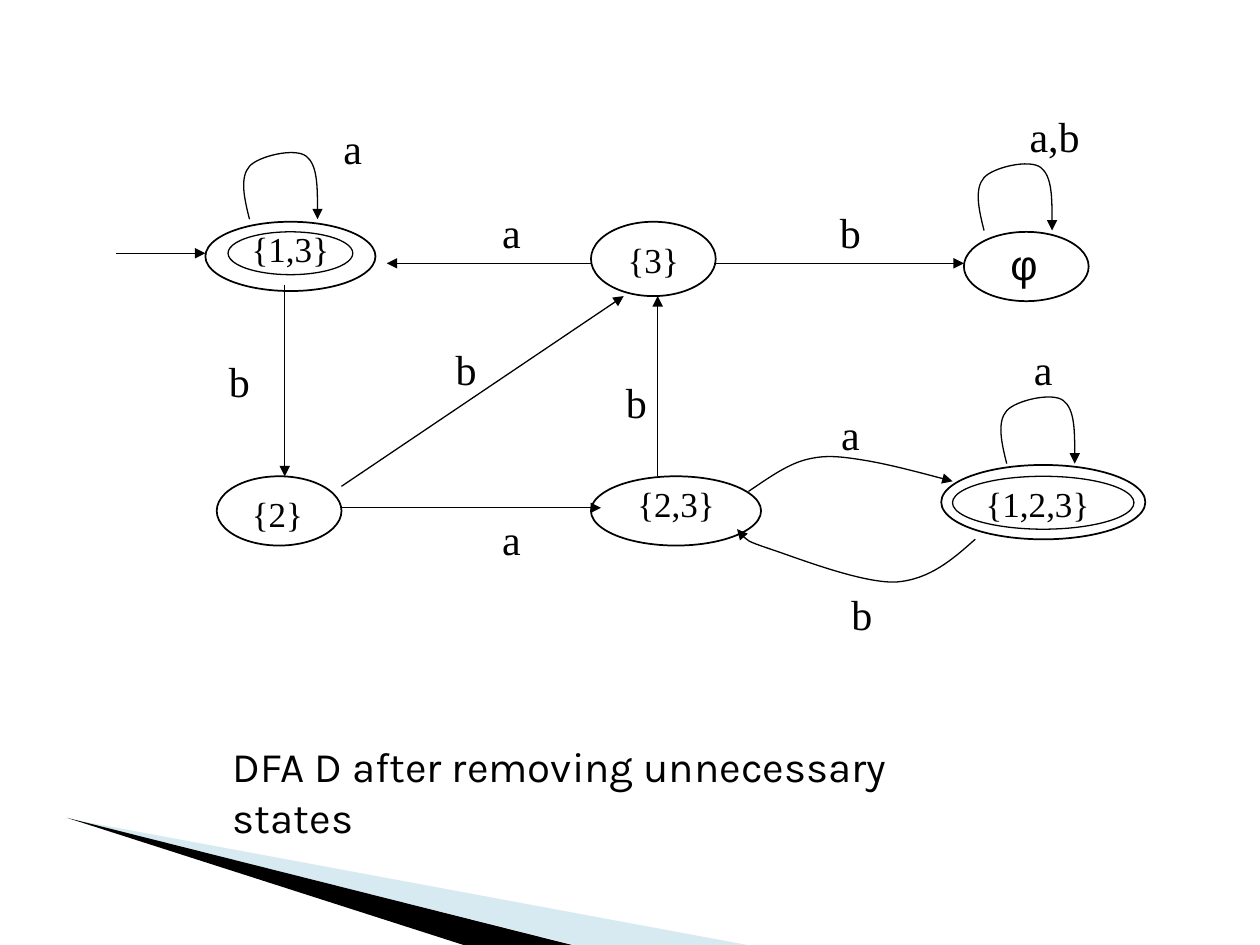
from pptx import Presentation
from pptx.dml.color import RGBColor
from pptx.enum.shapes import MSO_CONNECTOR, MSO_SHAPE
from pptx.enum.text import PP_ALIGN
from pptx.oxml.ns import qn
from pptx.util import Inches, Pt
from lxml.etree import SubElement

THEME = {
    "ink": RGBColor(0x00, 0x00, 0x00),
    "wedge": RGBColor(0x9F, 0xCB, 0xDC),
    "state_size": Pt(20),
    "label_size": Pt(24),
    "border": Pt(1),
    "thin": Pt(0.75),
    "serif": "Times New Roman",
}

prs = Presentation()
prs.slide_width, prs.slide_height = Inches(10), Inches(7.5)
s = prs.slides.add_slide(prs.slide_layouts[6])


def add_text(text, left, top, width, height, size=THEME["label_size"],
             font=THEME["serif"], align=PP_ALIGN.CENTER):
    box = s.shapes.add_textbox(Inches(left), Inches(top), Inches(width), Inches(height))
    tf = box.text_frame
    tf.word_wrap = True
    p = tf.paragraphs[0]
    p.alignment = align
    r = p.add_run()
    r.text = text
    for name, value in {"size": size, "name": font}.items():
        setattr(r.font, name, value)
    r.font.color.rgb = THEME["ink"]


def style_arrow(sp):
    """Give a line or open curve a thin stroke ending in a triangle."""
    sp.line.color.rgb = THEME["ink"]
    sp.line.width = THEME["thin"]
    SubElement(sp.line._get_or_add_ln(), qn("a:tailEnd"), type="triangle")
    SubElement(sp._element.spPr, qn("a:effectLst"))


# Corner wedges
wedges = [
    ([(0.55, 6.5), (5.93, 7.5), (4.56, 7.5)], THEME["wedge"], 40),
    ([(0.53, 6.49), (4.54, 7.5), (3.68, 7.5)], THEME["ink"], 100),
]
for points, color, opacity in wedges:
    corners = [(Inches(x), Inches(y)) for x, y in points]
    fb = s.shapes.build_freeform(*corners[0])
    fb.add_line_segments(corners[1:], close=True)
    sp = fb.convert_to_shape()
    sp.shadow.inherit = False
    sp.fill.solid()
    sp.fill.fore_color.rgb = color
    sp.line.fill.background()
    if opacity < 100:
        clr = sp._element.spPr.find(qn("a:solidFill"))[0]
        SubElement(clr, qn("a:alpha"), val=str(opacity * 1000))

# States, with an inner ring on the accepting ones
ellipses = [
    (1.63, 1.76, 1.35, 0.55, "border"),
    (1.81, 1.84, 0.99, 0.34, "thin"),
    (4.69, 1.76, 0.99, 0.59, "border"),
    (7.65, 1.84, 0.99, 0.55, "border"),
    (1.72, 3.78, 0.99, 0.55, "border"),
    (4.69, 3.78, 1.35, 0.55, "border"),
    (7.47, 3.69, 1.62, 0.59, "border"),
    (7.56, 3.78, 1.44, 0.42, "thin"),
]
for *place, width in ellipses:
    sp = s.shapes.add_shape(MSO_SHAPE.OVAL, *map(Inches, place))
    sp.shadow.inherit = False
    sp.fill.background()
    sp.line.color.rgb = THEME["ink"]
    sp.line.width = THEME[width]

state_names = [
    ("{1,3}", 1.81, 1.76, 0.99, PP_ALIGN.CENTER),
    ("{3}", 4.78, 1.84, 0.81, PP_ALIGN.CENTER),
    ("{2}", 1.9, 3.86, 0.99, PP_ALIGN.LEFT),
    ("{2,3}", 4.87, 3.78, 0.99, PP_ALIGN.CENTER),
    ("{1,2,3}", 7.65, 3.78, 1.17, PP_ALIGN.CENTER),
]
for name, left, top, width, align in state_names:
    add_text(name, left, top, width, 0.44, THEME["state_size"], align=align)
add_text("φ", 7.92, 1.84, 0.54, 0.5, font="Arial", align=PP_ALIGN.LEFT)

# Straight transitions
transitions = [
    (0.92, 2.01, 1.63, 2.01),
    (4.69, 2.09, 3.07, 2.09),
    (5.67, 2.09, 7.65, 2.09),
    (2.26, 2.26, 2.26, 3.78),
    (2.71, 3.86, 4.95, 2.35),
    (2.71, 4.03, 4.77, 4.03),
    (5.22, 3.78, 5.22, 2.35),
]
for ends in transitions:
    style_arrow(s.shapes.add_connector(MSO_CONNECTOR.STRAIGHT, *map(Inches, ends)))

# Curved transitions: a start point, then three points per Bezier piece
LOOP = [(0, 0), (-0.04, -0.16), (-0.08, -0.33), (0, -0.42),
        (0.07, -0.5), (0.36, -0.57), (0.45, -0.5),
        (0.54, -0.43), (0.54, -0.21), (0.54, 0)]
curves = [
    [(5.94, 3.9), (6.09, 3.8), (6.24, 3.69), (6.39, 3.65),
     (6.54, 3.61), (6.65, 3.62), (6.84, 3.65),
     (7.03, 3.68), (7.3, 3.75), (7.56, 3.82)],
    [(7.74, 4.28), (7.56, 4.44), (7.38, 4.6), (7.11, 4.62),
     (6.84, 4.63), (6.33, 4.43), (6.12, 4.36),
     (5.91, 4.29), (5.88, 4.25), (5.85, 4.2)],
]
for x, y in [(1.98, 1.74), (7.81, 1.83), (7.99, 3.68)]:
    curves.append([(x + dx, y + dy) for dx, dy in LOOP])

for curve in curves:
    points = [(Inches(x), Inches(y)) for x, y in curve]
    fb = s.shapes.build_freeform(*points[0])
    fb.add_line_segments(points[1:], close=False)
    sp = fb.convert_to_shape()
    # Turn every three line segments into one cubic Bezier
    segments = list(sp._element.iter(qn("a:lnTo")))
    outline = segments[0].getparent()
    for i in range(0, len(segments), 3):
        bezier = SubElement(outline, qn("a:cubicBezTo"))
        for segment in segments[i:i + 3]:
            bezier.append(segment[0])
            outline.remove(segment)
    sp.fill.background()
    style_arrow(sp)

# Transition labels
labels = [
    ("a", 2.53, 0.92), ("a", 3.79, 1.59), ("b", 6.48, 1.59),
    ("b", 1.63, 2.77), ("b", 3.43, 2.68), ("b", 4.78, 2.94),
    ("a", 3.79, 4.03), ("a", 6.48, 3.19), ("b", 6.57, 4.62),
    ("a", 8.01, 2.68),
]
for text, left, top in labels:
    add_text(text, left, top, 0.54, 0.5)
add_text("a,b", 7.92, 0.83, 0.9, 0.5)

add_text("DFA D after removing unnecessary states", 1.75, 5.83, 6.38, 0.9,
         font="Karla", align=PP_ALIGN.LEFT)

prs.save("out.pptx")
